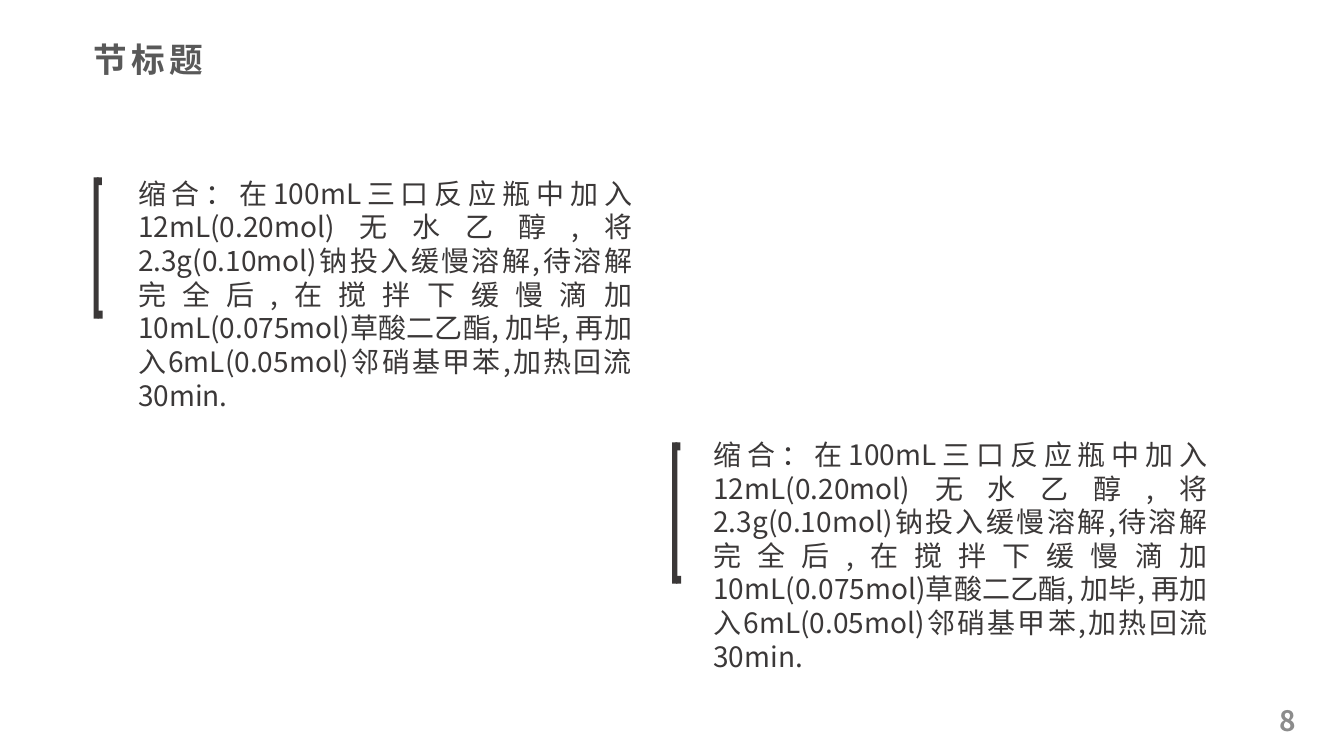
from lxml import etree
from pptx import Presentation
from pptx.dml.color import RGBColor
from pptx.enum.shapes import MSO_SHAPE
from pptx.enum.text import MSO_ANCHOR, MSO_AUTO_SIZE, PP_ALIGN
from pptx.oxml.ns import qn
from pptx.util import Cm, Pt

RECT = MSO_SHAPE.RECTANGLE
TOP, MIDDLE = MSO_ANCHOR.TOP, MSO_ANCHOR.MIDDLE
LEFT, RIGHT, JUSTIFY = PP_ALIGN.LEFT, PP_ALIGN.RIGHT, PP_ALIGN.JUSTIFY
GROW = MSO_AUTO_SIZE.SHAPE_TO_FIT_TEXT
FIXED = MSO_AUTO_SIZE.NONE

DARK = RGBColor(0x3B, 0x38, 0x38)
TITLE_GRAY = RGBColor(0x59, 0x59, 0x59)
NUMBER_GRAY = RGBColor(0x8C, 0x8C, 0x8C)

STEP = (
    "缩合：在100mL三口反应瓶中加入12mL(0.20mol)无水乙醇,"
    "将2.3g(0.10mol)钠投入缓慢溶解,待溶解完全后,"
    "在搅拌下缓慢滴加10mL(0.075mol)草酸二乙酯, 加毕, "
    "再加入6mL(0.05mol)邻硝基甲苯,加热回流30min."
)
STEPS = [
    {"text_at": (3.23, 4.32), "bracket_at": (2.36, 4.47)},
    {"text_at": (17.73, 10.9), "bracket_at": (16.94, 11.15)},
]


def write(tf, text, size=20, color=DARK, bold=False, align=LEFT, tracking=0, after=0):
    p = tf.paragraphs[0]
    p.alignment = align
    p.line_spacing = Pt(size * 1.2)
    p.space_after = Pt(after)
    r = p.add_run()
    r.text = text
    r.font.name = SlideBuilder.FONT
    r.font.size = Pt(size)
    r.font.bold = bold
    r.font.color.rgb = color
    rPr = r._r.get_or_add_rPr()
    etree.SubElement(rPr, qn("a:ea")).set("typeface", SlideBuilder.FONT)
    if tracking:
        rPr.set("spc", str(tracking * 100))


class SlideBuilder:
    FONT = "Noto Sans CJK SC"

    def __init__(self, prs):
        self.s = prs.slides.add_slide(prs.slide_layouts[6])

    def text(self, text, x, y, w, h, anchor=TOP, auto_size=GROW, **style):
        sp = self.s.shapes.add_textbox(Cm(x), Cm(y), Cm(w), Cm(h))
        tf = sp.text_frame
        tf.word_wrap = True
        tf.auto_size = auto_size
        tf.vertical_anchor = anchor
        write(tf, text, **style)

    def bracket(self, x, y, height=3.56, thickness=0.13, tip=0.2):
        group = self.s.shapes.add_group_shape()
        bars = [
            (0, 0, height),
            (0.08, 0, tip),
            (0.1, height - tip, tip),
        ]
        for dx, dy, h in bars:
            sp = group.shapes.add_shape(RECT, Cm(x + dx), Cm(y + dy), Cm(thickness), Cm(h))
            sp.shadow.inherit = False
            sp.fill.solid()
            sp.fill.fore_color.rgb = DARK
            sp.line.fill.background()


def main():
    prs = Presentation()
    prs.slide_width, prs.slide_height = Cm(33.87), Cm(19.05)
    slide = SlideBuilder(prs)
    slide.text("8", 25.3, 17.65, 7.62, 1.02, anchor=MIDDLE, auto_size=FIXED,
               color=NUMBER_GRAY, bold=True, align=RIGHT)
    slide.text("节标题", 2.11, 0.86, 5.49, 1.27,
               size=24, color=TITLE_GRAY, bold=True, tracking=3)
    for step in STEPS:
        slide.text(STEP, *step["text_at"], 12.95, 6.25, align=JUSTIFY, after=6)
        slide.bracket(*step["bracket_at"])
    prs.save("out.pptx")


if __name__ == "__main__":
    main()
